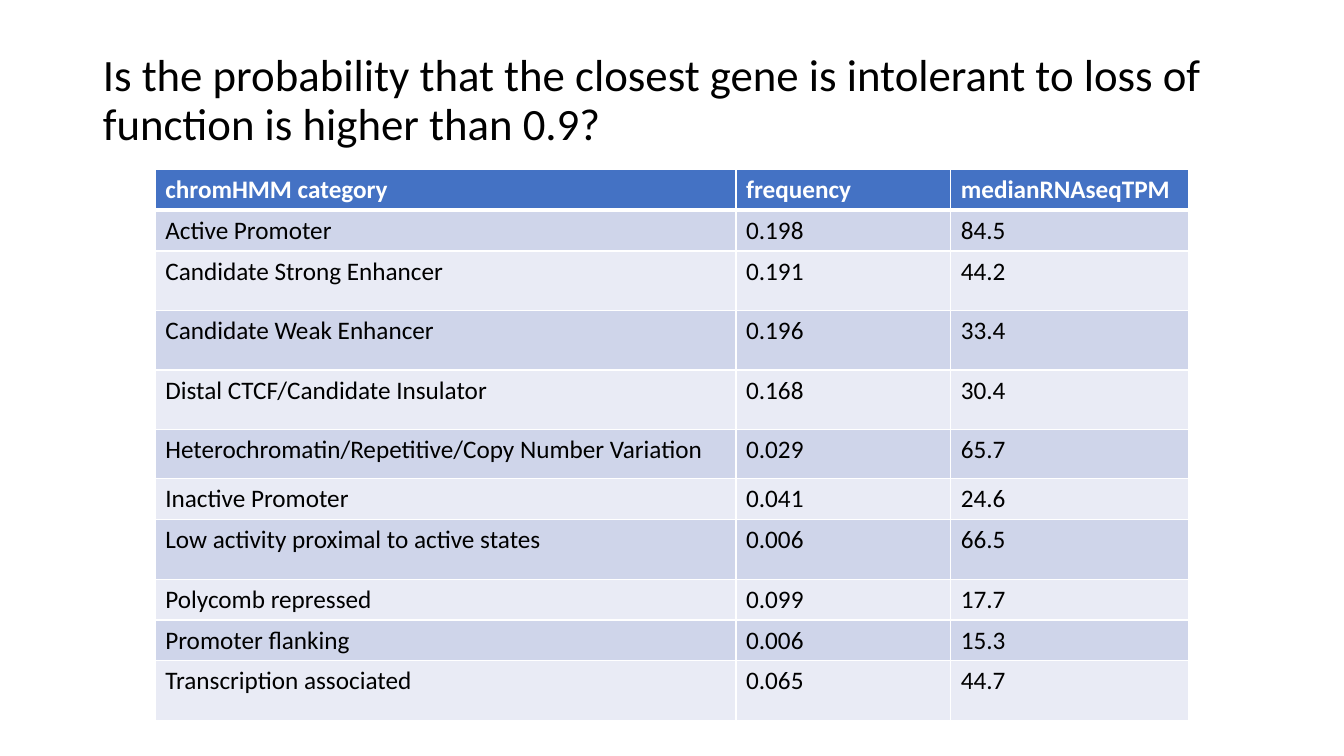
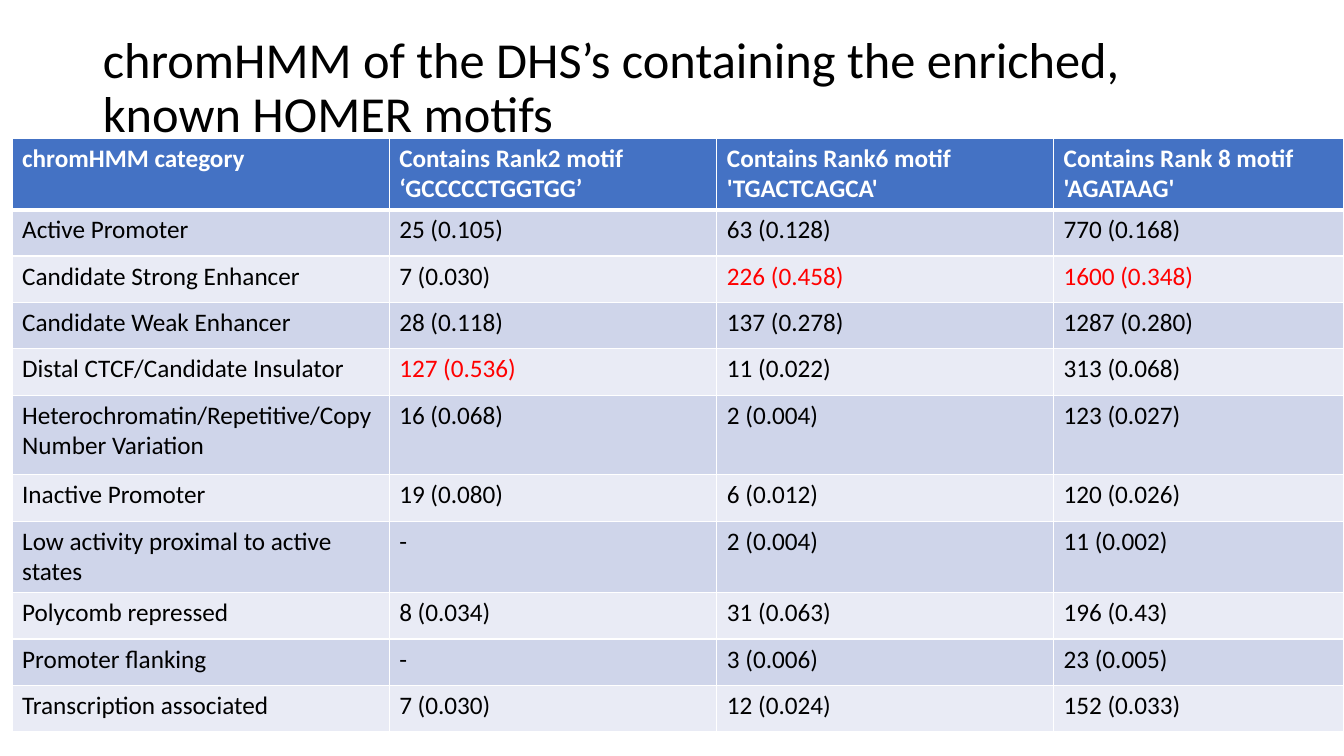
from lxml import etree
from pptx import Presentation
from pptx.dml.color import RGBColor
from pptx.enum import text
from pptx.oxml import ns
from pptx.util import Inches, Pt

FONT = "Calibri"
BLACK, WHITE, RED = "000000", "FFFFFF", "FF0000"
HEADER_FILL = "4472C4"
BAND_FILLS = ("E9EBF5", "CFD5EA")
TITLE_ONLY_LAYOUT = 5

CATEGORIES = [
    "Active Promoter",
    "Candidate Strong Enhancer",
    "Candidate Weak Enhancer",
    "Distal CTCF/Candidate Insulator",
    "Heterochromatin/Repetitive/Copy Number Variation",
    "Inactive Promoter",
    "Low activity proximal to active states",
    "Polycomb repressed",
    "Promoter flanking",
    "Transcription associated",
]

GENE_HEADINGS = ["chromHMM category", "frequency", "medianRNAseqTPM"]
GENE_VALUES = [
    ("0.198", "84.5"),
    ("0.191", "44.2"),
    ("0.196", "33.4"),
    ("0.168", "30.4"),
    ("0.029", "65.7"),
    ("0.041", "24.6"),
    ("0.006", "66.5"),
    ("0.099", "17.7"),
    ("0.006", "15.3"),
    ("0.065", "44.7"),
]

MOTIF_HEADINGS = [
    "chromHMM category",
    "Contains Rank2 motif ‘GCCCCCTGGTGG’",
    "Contains Rank6 motif 'TGACTCAGCA'",
    "Contains Rank 8 motif 'AGATAAG'",
]
MOTIF_VALUES = [
    ("25 (0.105)", "63 (0.128)", "770 (0.168)"),
    ("7 (0.030)", "226 (0.458)", "1600 (0.348)"),
    ("28 (0.118)", "137 (0.278)", "1287 (0.280)"),
    ("127 (0.536)", "11 (0.022)", "313 (0.068)"),
    ("16 (0.068)", "2 (0.004)", "123 (0.027)"),
    ("19 (0.080)", "6 (0.012)", "120 (0.026)"),
    ("-", "2 (0.004)", "11 (0.002)"),
    ("8 (0.034)", "31 (0.063)", "196 (0.43)"),
    ("-", "3 (0.006)", "23 (0.005)"),
    ("7 (0.030)", "12 (0.024)", "152 (0.033)"),
]
TOP_MOTIF_VALUES = {"127 (0.536)", "226 (0.458)", "1600 (0.348)"}


def color(value):
    return RGBColor.from_string(value)


def write_text(frame, content, size=18, fill=BLACK, bold=False, line_spacing=None):
    paragraph = frame.paragraphs[0]
    paragraph.alignment = text.PP_ALIGN.LEFT
    paragraph.line_spacing = line_spacing
    run = paragraph.add_run()
    run.text = content
    run.font.name = FONT
    run.font.size = Pt(size)
    run.font.bold = bold
    run.font.color.rgb = color(fill)


def add_titled_slide(presentation, title, size, height):
    slide = presentation.slides.add_slide(presentation.slide_layouts[TITLE_ONLY_LAYOUT])
    shape = slide.shapes.title
    shape.left, shape.top = Inches(0.92), Inches(0.4)
    shape.width, shape.height = Inches(11.5), Inches(height)
    frame = shape.text_frame
    frame.word_wrap = True
    frame.auto_size = text.MSO_AUTO_SIZE.NONE
    frame.vertical_anchor = text.MSO_ANCHOR.MIDDLE
    write_text(frame, title, size=size, line_spacing=0.9)
    return slide


def set_borders(cell, top=1, bottom=1):
    properties = cell._tc.get_or_add_tcPr()
    for side, width in (("L", 1), ("R", 1), ("T", top), ("B", bottom)):
        line = etree.SubElement(properties, ns.qn(f"a:ln{side}"), w=str(Pt(width)))
        fill = etree.SubElement(line, ns.qn("a:solidFill"))
        etree.SubElement(fill, ns.qn("a:srgbClr"), val=WHITE)


def format_cell(cell, content, row, highlights):
    is_header = row == 0
    set_borders(cell, top=3 if row == 1 else 1, bottom=3 if is_header else 1)
    cell.fill.solid()
    cell.fill.fore_color.rgb = color(HEADER_FILL if is_header else BAND_FILLS[row % 2])
    if is_header:
        text_color = WHITE
    else:
        text_color = RED if content in highlights else BLACK
    write_text(cell.text_frame, content, fill=text_color, bold=is_header)


def add_category_table(slide, left, top, widths, heights, headings, values, highlights=()):
    rows = [headings] + [(name, *row) for name, row in zip(CATEGORIES, values)]
    frame = slide.shapes.add_table(
        len(rows), len(widths), Inches(left), Inches(top),
        Inches(sum(widths)), Inches(sum(heights)),
    )
    table = frame.table
    for column, width in zip(table.columns, widths):
        column.width = Inches(width)
    for row, height in zip(table.rows, heights):
        row.height = Inches(height)
    for row_index, contents in enumerate(rows):
        for column_index, content in enumerate(contents):
            format_cell(table.cell(row_index, column_index), content, row_index, highlights)


def main():
    presentation = Presentation()
    presentation.slide_width = Inches(13.33)
    presentation.slide_height = Inches(7.5)

    slide = add_titled_slide(
        presentation,
        "Is the probability that the closest gene is intolerant to loss of "
        "function is higher than 0.9?",
        size=32, height=1.21,
    )
    low, high = 0.34, 0.59
    add_category_table(
        slide, 1.54, 1.68, [5.76, 2.13, 2.36],
        [0.35, low, high, high, high, 0.49, low, high, low, low, high],
        GENE_HEADINGS, GENE_VALUES,
    )

    slide = add_titled_slide(
        presentation,
        "chromHMM of the DHS’s containing the enriched, known HOMER motifs",
        size=36, height=0.97,
    )
    add_category_table(
        slide, 0.12, 1.37, [3.74, 3.25, 3.34, 2.88],
        [0.46] * 5 + [0.79] + [0.46] * 5,
        MOTIF_HEADINGS, MOTIF_VALUES, TOP_MOTIF_VALUES,
    )

    presentation.save("out.pptx")


if __name__ == "__main__":
    main()
